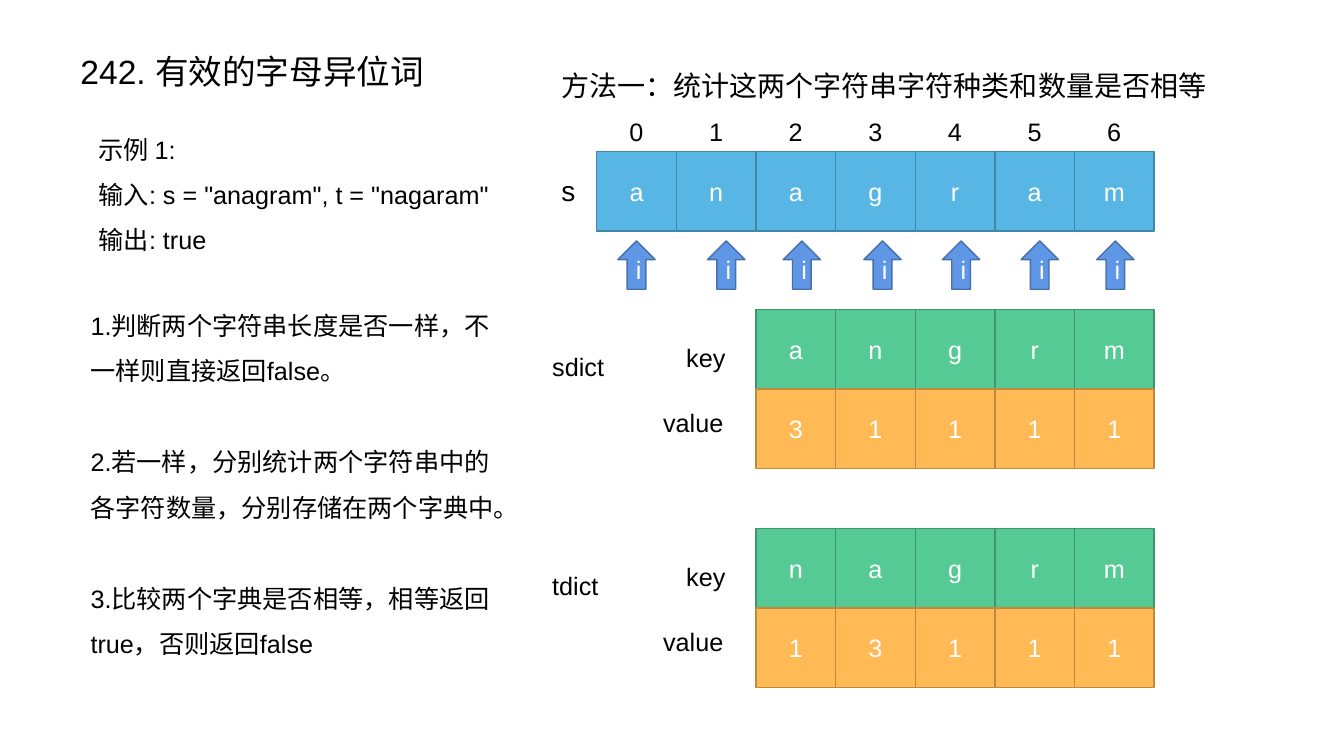
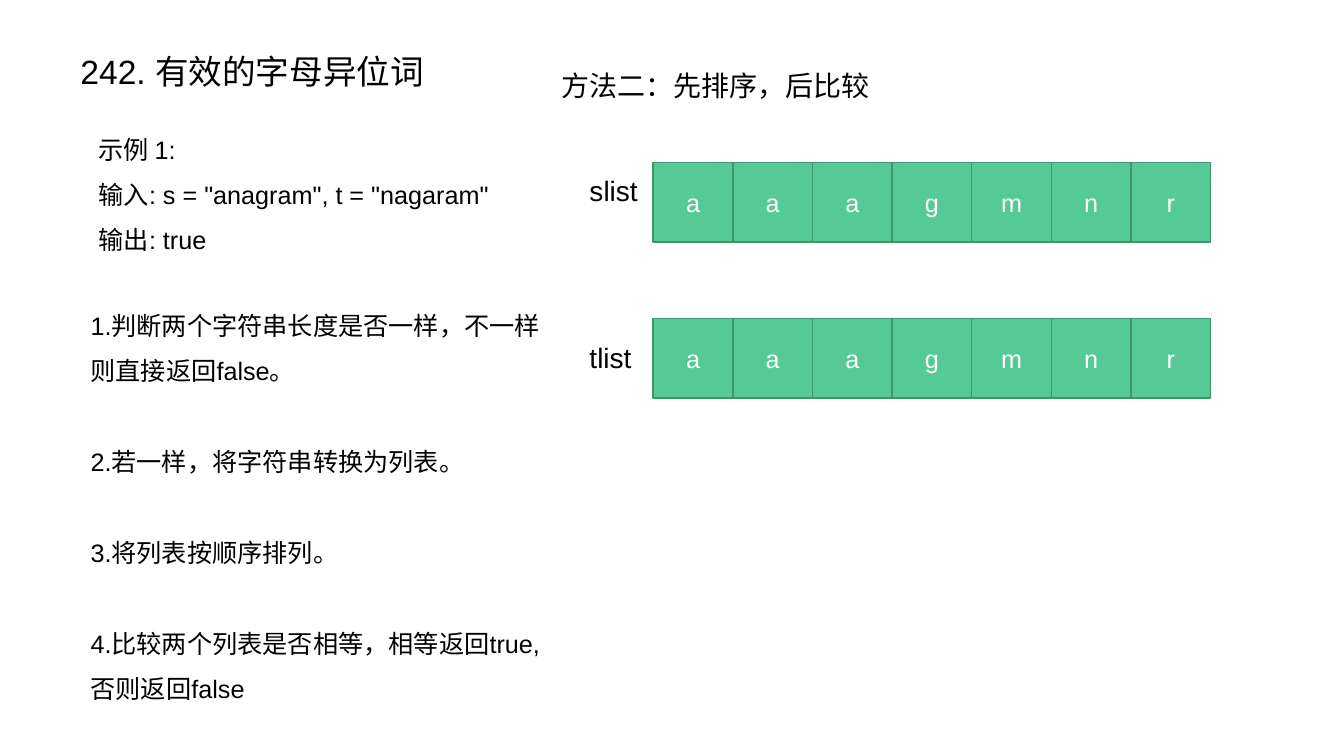
from lxml import etree
from pptx import Presentation
from pptx import util as u
from pptx.dml import color
from pptx.enum import shapes, text
from pptx.oxml import ns

GRID = u.Inches(0.1)
COLUMNS, ROWS = 133.33, 75
CELL = 7.9
LABEL_ROW = 4
INSET = 1

COLORS = {
    "ink": "000000",
    "paper": "FFFFFF",
    "string": "58B6E5",
    "string_line": "4187A9",
    "key": "56CA95",
    "key_line": "40956E",
    "value": "FFBA55",
    "value_line": "BD8A3F",
    "pointer": "6096E6",
    "pointer_line": "476FAA",
}
TITLE = {"name": "Arial", "size": u.Pt(24)}
HEADING = {"name": "Arial", "size": u.Pt(20)}
BODY = {"name": "Arial", "size": u.Pt(18)}
LOOSE = {"line_spacing": 1.5}
STEP_GAP = {"space_before": u.Pt(32.5)}

EXAMPLE = ["示例\u00a01:", '输入: s = "anagram", t = "nagaram"', "输出: true"]
FIRST_STEP = "1.判断两个字符串长度是否一样，不一样则直接返回false。"
POINTER_COLUMNS = [61.3, 70.2, 77.7, 85.7, 93.5, 101.3, 108.8]


def rgb(name):
    return color.RGBColor.from_string(COLORS[name])


def on_grid(*lengths):
    return [round(length * GRID) for length in lengths]


def apply(target, values):
    for name, value in values.items():
        setattr(target, name, value)


def style_font(font, values, ink):
    apply(font, values)
    font.color.rgb = rgb(ink)


def add_text(slide, box, lines, font=BODY, layout=None, gap=None):
    shape = slide.shapes.add_textbox(*on_grid(*box))
    frame = shape.text_frame
    frame.word_wrap = True
    for index, line in enumerate(lines):
        paragraph = frame.paragraphs[0] if index == 0 else frame.add_paragraph()
        run = paragraph.add_run()
        run.text = line
        apply(paragraph, layout or {})
        if index:
            apply(paragraph, gap or {})
        style_font(run.font, font, "ink")
    return shape


def add_figure(slide, kind, box, label, tone):
    shape = slide.shapes.add_shape(kind, *on_grid(*box))
    shape.shadow.inherit = False
    shape.fill.solid()
    shape.fill.fore_color.rgb = rgb(tone)
    shape.line.color.rgb = rgb(tone + "_line")
    shape.line.width = u.Pt(1)
    frame = shape.text_frame
    frame.vertical_anchor = text.MSO_ANCHOR.MIDDLE
    paragraph = frame.paragraphs[0]
    paragraph.alignment = text.PP_ALIGN.CENTER
    run = paragraph.add_run()
    run.text = label
    style_font(run.font, BODY, "paper")


def add_cells(slide, column, row, labels, tone):
    for index, label in enumerate(labels):
        box = (column + index * CELL, row, CELL, CELL)
        add_figure(slide, shapes.MSO_SHAPE.RECTANGLE, box, label, tone)


def add_indexes(slide, column, row, count):
    line = "".join(f"\t{index}" for index in range(count))
    shape = add_text(slide, (column, row, count * CELL, LABEL_ROW), [line])
    properties = shape.text_frame.paragraphs[0]._p.get_or_add_pPr()
    stops = etree.SubElement(properties, ns.qn("a:tabLst"))
    for index in range(count):
        position = on_grid((index + 0.5) * CELL - INSET)[0]
        etree.SubElement(stops, ns.qn("a:tab"), pos=str(position), algn="ctr")


def add_pointers(slide, row):
    for column in POINTER_COLUMNS:
        add_figure(slide, shapes.MSO_SHAPE.UP_ARROW, (column, row, 3.7, 4.8), "i", "pointer")


def add_dictionary(slide, row, name, keys, values):
    add_text(slide, (53.8, row + 3.7, 7.5, 6.1), [name])
    add_text(slide, (67.1, row + 2.75, 6.6, LABEL_ROW), ["key"])
    add_text(slide, (64.8, row + 9.25, 8.9, LABEL_ROW), ["value"])
    add_cells(slide, 75, row, keys, "key")
    add_cells(slide, 75, row + CELL, values, "value")


def add_page(presentation, method, steps, steps_size):
    slide = presentation.slides.add_slide(presentation.slide_layouts[6])
    add_text(slide, (7, 4.6, 44, 6.7), ["242. 有效的字母异位词"], TITLE)
    add_text(slide, (8.8, 11.3, 45.9, 17.4), EXAMPLE, layout=LOOSE)
    add_text(slide, (54.7, 4.6, 67.3, 8), [method], HEADING, LOOSE)
    add_text(slide, (8, 28.8, *steps_size), [FIRST_STEP, *steps], BODY, LOOSE, STEP_GAP)
    return slide


def add_counting_page(presentation):
    steps = [
        "2.若一样，分别统计两个字符串中的各字符数量，分别存储在两个字典中。",
        "3.比较两个字典是否相等，相等返回true，否则返回false",
    ]
    method = "方法一：统计这两个字符串字符种类和数量是否相等"
    slide = add_page(presentation, method, steps, (42.9, 37.3))
    add_text(slide, (54.7, 16.7, 3.5, 6.1), ["s"], HEADING)
    add_indexes(slide, 59.2, 11.1, len("anagram"))
    add_cells(slide, 59.2, 15, "anagram", "string")
    add_pointers(slide, 23.9)
    add_dictionary(slide, 30.7, "sdict", "angrm", "31111")
    add_dictionary(slide, 52.4, "tdict", "nagrm", "13111")


def add_sorting_page(presentation):
    steps = [
        "2.若一样，将字符串转换为列表。",
        "3.将列表按顺序排列。",
        "4.比较两个列表是否相等，相等返回true,否则返回false",
    ]
    slide = add_page(presentation, "方法二：先排序，后比较", steps, (46.7, 41.9))
    for name, label_row, cell_row in [("slist", 16.7, 16.1), ("tlist", 33.3, 31.6)]:
        add_text(slide, (57.5, label_row, 7.4, 6.1), [name], HEADING)
        add_cells(slide, 64.8, cell_row, sorted("anagram"), "key")


def main():
    presentation = Presentation()
    presentation.slide_width, presentation.slide_height = on_grid(COLUMNS, ROWS)
    add_counting_page(presentation)
    add_sorting_page(presentation)
    presentation.save("out.pptx")


if __name__ == "__main__":
    main()
